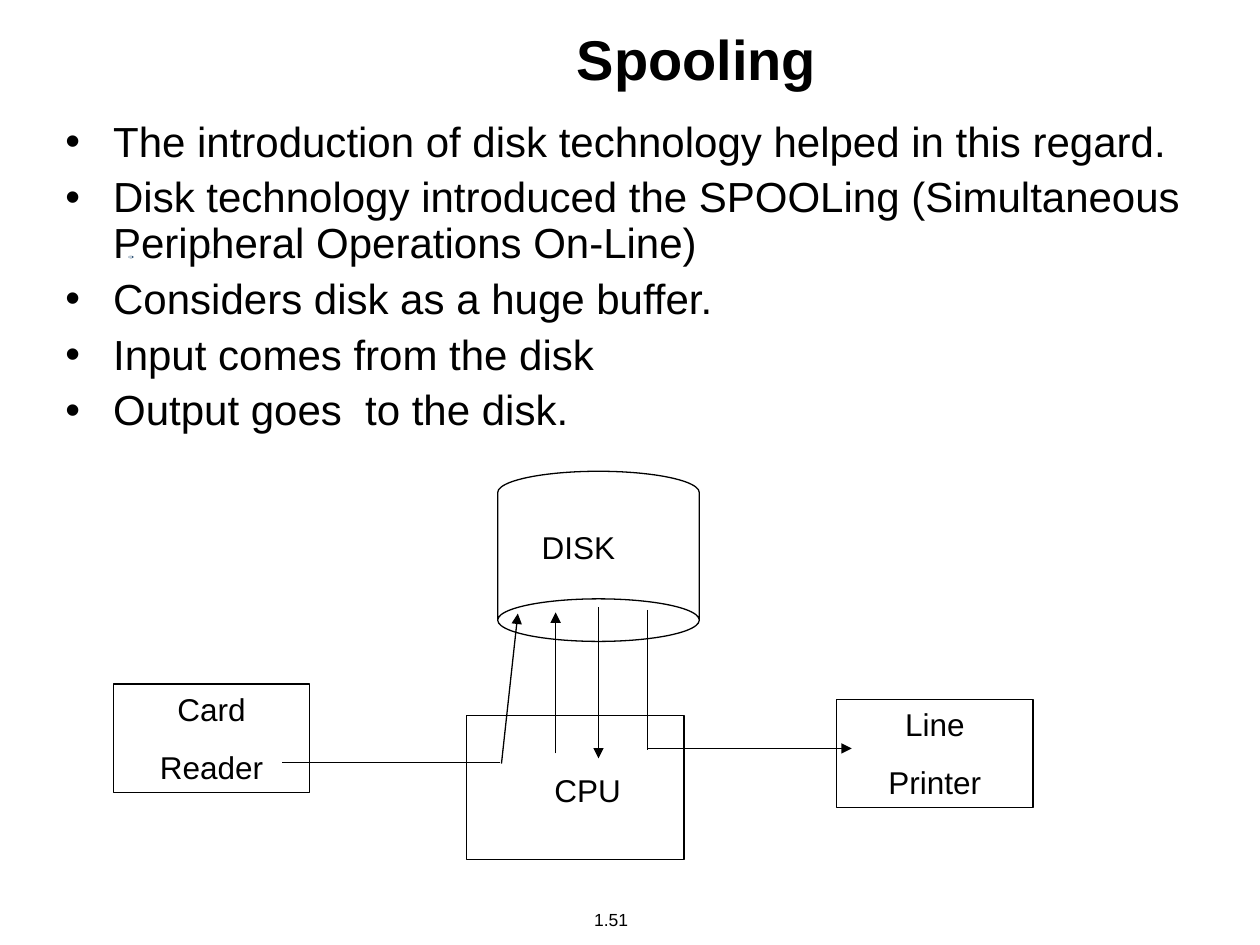
from lxml.etree import SubElement
from pptx import Presentation
from pptx.dml.color import RGBColor
from pptx.enum.shapes import MSO_CONNECTOR, MSO_SHAPE
from pptx.enum.text import MSO_ANCHOR, MSO_AUTO_SIZE, PP_ALIGN
from pptx.oxml.ns import qn
from pptx.util import Inches, Pt

BLACK = RGBColor(0x00, 0x00, 0x00)
NAVY = RGBColor(0x28, 0x4C, 0x70)
PALE_BLUE = RGBColor(0xBF, 0xCC, 0xD8)

presentation = Presentation()
presentation.slide_width = Inches(10)
presentation.slide_height = Inches(7.5)
slide = presentation.slides.add_slide(presentation.slide_layouts[6])
shapes = slide.shapes


def write_text(frame, lines, size, before=0, align=PP_ALIGN.CENTER,
               anchor=MSO_ANCHOR.TOP, wrap=True, bold=False):
    frame.word_wrap = wrap
    frame.vertical_anchor = anchor
    frame.text = "\n".join(lines)
    for paragraph in frame.paragraphs:
        paragraph.alignment = align
        paragraph.space_before = Pt(before)
        paragraph.font.name = "Arial"
        paragraph.font.size = Pt(size)
        paragraph.font.bold = bold
        paragraph.font.color.rgb = BLACK


def add_outlined(kind, left, top, width, height):
    shape = shapes.add_shape(kind, Inches(left), Inches(top), Inches(width), Inches(height))
    shape.shadow.inherit = False
    shape.fill.background()
    shape.line.color.rgb = BLACK
    shape.line.width = Pt(0.75)
    return shape


for left, top, width, height, color in [
    (1.02, 2.03, 0.04, 0.02, NAVY),
    (1.02, 2.03, 0.03, 0.02, PALE_BLUE),
    (1.63, 1.99, 0.05, 0.03, PALE_BLUE),
]:
    speck = add_outlined(MSO_SHAPE.OVAL, left, top, width, height)
    speck.fill.solid()
    speck.fill.fore_color.rgb = color
    speck.line.fill.background()

title = shapes.add_textbox(Inches(1.28), Inches(0), Inches(8.5), Inches(0.92))
write_text(title.text_frame, ["Spooling"], 32, anchor=MSO_ANCHOR.MIDDLE, bold=True)

body = shapes.add_textbox(Inches(0.42), Inches(0.91), Inches(9.36), Inches(2.7))
write_text(body.text_frame, [
    "The introduction of disk technology helped in this regard.",
    "Disk technology introduced the SPOOLing (Simultaneous Peripheral Operations On-Line)",
    "Considers disk as a huge buffer.",
    "Input comes from the disk",
    "Output goes  to the disk.",
], 24, before=6, align=PP_ALIGN.LEFT)
for point in body.text_frame.paragraphs:
    point.line_spacing = 0.9
    properties = point._p.get_or_add_pPr()
    properties.set("marL", str(Inches(0.38)))
    properties.set("indent", str(Inches(-0.38)))
    SubElement(properties, qn("a:buFont"), typeface="Arial")
    SubElement(properties, qn("a:buChar"), char="•")

for left, top, words in [(0.9, 5.43, ["Card", "Reader"]), (6.64, 5.55, ["Line", "Printer"])]:
    device = add_outlined(MSO_SHAPE.RECTANGLE, left, top, 1.56, 0.86)
    write_text(device.text_frame, words, 18, before=11.2)

add_outlined(MSO_SHAPE.RECTANGLE, 3.7, 5.68, 1.73, 1.14)
disk = add_outlined(MSO_SHAPE.CAN, 3.95, 3.74, 1.6, 1.35)
disk.rotation = 180
disk.adjustments[0] = 0.25

for x1, y1, x2, y2, has_arrow in [
    (4.41, 5.98, 4.41, 4.86, True),
    (4.75, 4.82, 4.75, 6.02, True),
    (2.24, 6.05, 3.97, 6.05, False),
    (3.98, 6.06, 4.11, 4.87, True),
    (5.14, 4.84, 5.14, 5.95, False),
    (5.14, 5.94, 6.76, 5.94, True),
]:
    flow = shapes.add_connector(
        MSO_CONNECTOR.STRAIGHT, Inches(x1), Inches(y1), Inches(x2), Inches(y2))
    flow.line.color.rgb = BLACK
    flow.line.width = Pt(0.75)
    if has_arrow:
        SubElement(flow.line._get_or_add_ln(), qn("a:tailEnd"), type="triangle")
    SubElement(flow._element.spPr, qn("a:effectLst"))

for words, left, top, width, height, size, before, anchor in [
    ("CPU", 4.3, 6.07, 0.73, 0.4, 18, 0, MSO_ANCHOR.TOP),
    ("DISK", 4.18, 4.14, 0.82, 0.4, 18, 0, MSO_ANCHOR.TOP),
    ("1.51", 4.38, 7.16, 0.94, 0.27, 10, 6.2, MSO_ANCHOR.MIDDLE),
]:
    label = shapes.add_textbox(Inches(left), Inches(top), Inches(width), Inches(height))
    write_text(label.text_frame, [words], size, before=before, anchor=anchor, wrap=False)
    label.text_frame.auto_size = MSO_AUTO_SIZE.SHAPE_TO_FIT_TEXT

presentation.save("out.pptx")
